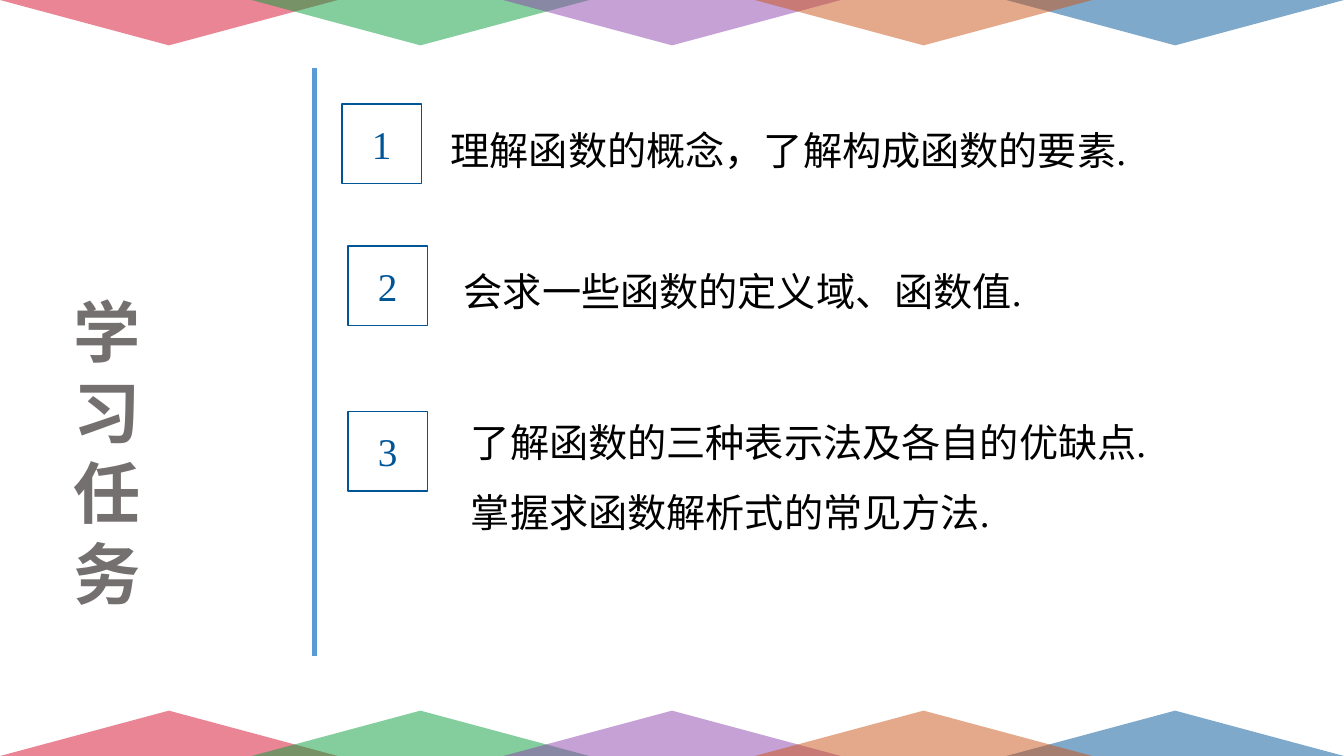
from dataclasses import dataclass
from lxml import etree
from pptx import Presentation
from pptx import util as u
from pptx.dml.color import RGBColor
from pptx.enum import shapes, text
from pptx.oxml import ns

TITLE = "学习任务"
TASKS = [
    ("理解函数的概念，了解构成函数的要素.", 0, 0),
    ("会求一些函数的定义域、函数值.", 0.13, 50.5),
    ("了解函数的三种表示法及各自的优缺点.", 0.2, 57),
    ("掌握求函数解析式的常见方法.", 0.2, 0),
]
MARKS = [("1", 3.39, 1.03), ("2", 3.45, 2.44), ("3", 3.45, 4.08)]
BAND = [(0, "D50D2A"), (4, "005596"), (1, "099F3B"), (2, "8D44AD"), (3, "CB5518")]
WIDE, HIGH = 13.33, 7.5
PEAK, RISE = 3.35, 0.45
STEP = (WIDE - PEAK) / 4
SIDE = 0.79


@dataclass
class Theme:
    head: str = "757070"
    ink: str = "000000"
    mark: str = "005596"
    rule: str = "5B9BD5"
    sans: str = "Arial"
    serif: str = "Times New Roman"
    big: int = 48
    mid: int = 28


look = Theme()


def put(item, left, top, wide, high):
    item.left, item.top = u.Inches(left), u.Inches(top)
    item.width, item.height = u.Inches(wide), u.Inches(high)


def write(para, words, face, size, tint, bold=False):
    run = para.add_run()
    run.text = words
    font = run.font
    font.name, font.size, font.bold = face, u.Pt(size), bold
    font.color.rgb = RGBColor.from_string(tint)


def setup(frame, anchor):
    frame.word_wrap = True
    frame.auto_size = text.MSO_AUTO_SIZE.NONE
    frame.vertical_anchor = anchor


def band(slide, top, turn):
    for col, tint in BAND:
        peak = slide.shapes.add_shape(
            shapes.MSO_SHAPE.ISOSCELES_TRIANGLE, u.Inches(col * STEP),
            u.Inches(top), u.Inches(PEAK), u.Inches(RISE))
        peak.rotation = turn
        peak.shadow.inherit = False
        peak.line.fill.background()
        peak.fill.solid()
        peak.fill.fore_color.rgb = RGBColor.from_string(tint)
        hue = peak.fill._xPr.find(".//" + ns.qn("a:srgbClr"))
        etree.SubElement(hue, ns.qn("a:alpha"), val="50000")


def title(slide):
    head = slide.shapes.title
    put(head, 0.63, 2.83, 1.38, 3.33)
    setup(head.text_frame, text.MSO_ANCHOR.TOP)
    para = head.text_frame.paragraphs[0]
    para.alignment = text.PP_ALIGN.LEFT
    write(para, TITLE, look.sans, look.big, look.head, True)


def rule(slide):
    line = slide.shapes.add_connector(
        shapes.MSO_CONNECTOR.STRAIGHT, u.Inches(3.12), u.Inches(0.67),
        u.Inches(3.12), u.Inches(6.51))
    line.line.width = u.Pt(3)
    line.line.color.rgb = RGBColor.from_string(look.rule)
    etree.SubElement(line._element.spPr, ns.qn("a:effectLst"))


def marks(slide):
    for words, left, top in MARKS:
        box = slide.shapes.add_shape(
            shapes.MSO_SHAPE.RECTANGLE, u.Inches(left), u.Inches(top),
            u.Inches(SIDE), u.Inches(SIDE))
        box.shadow.inherit = False
        box.fill.background()
        box.line.width = u.Pt(1)
        box.line.color.rgb = RGBColor.from_string(look.mark)
        setup(box.text_frame, text.MSO_ANCHOR.MIDDLE)
        para = box.text_frame.paragraphs[0]
        para.alignment = text.PP_ALIGN.CENTER
        write(para, words, look.serif, look.mid, look.mark)


def tasks(slide):
    body = slide.placeholders[1]
    put(body, 4.37, 0.97, 8.5, 4.6)
    frame = body.text_frame
    setup(frame, text.MSO_ANCHOR.TOP)
    for row, (words, inset, gap) in enumerate(TASKS):
        para = frame.add_paragraph() if row else frame.paragraphs[0]
        props = para._p.get_or_add_pPr()
        props.set("marL", str(u.Inches(inset)))
        props.set("indent", "0")
        etree.SubElement(props, ns.qn("a:buNone"))
        para.alignment = text.PP_ALIGN.JUSTIFY
        para.line_spacing = 1.5
        para.space_before = u.Pt(gap)
        para.space_after = u.Pt(0)
        write(para, words, look.serif, look.mid, look.ink)


def main():
    deck = Presentation()
    deck.slide_width, deck.slide_height = u.Inches(WIDE), u.Inches(HIGH)
    slide = deck.slides.add_slide(deck.slide_layouts[1])
    band(slide, HIGH - RISE, 0)
    band(slide, 0, 180)
    title(slide)
    rule(slide)
    marks(slide)
    tasks(slide)
    deck.save("out.pptx")


if __name__ == "__main__":
    main()
